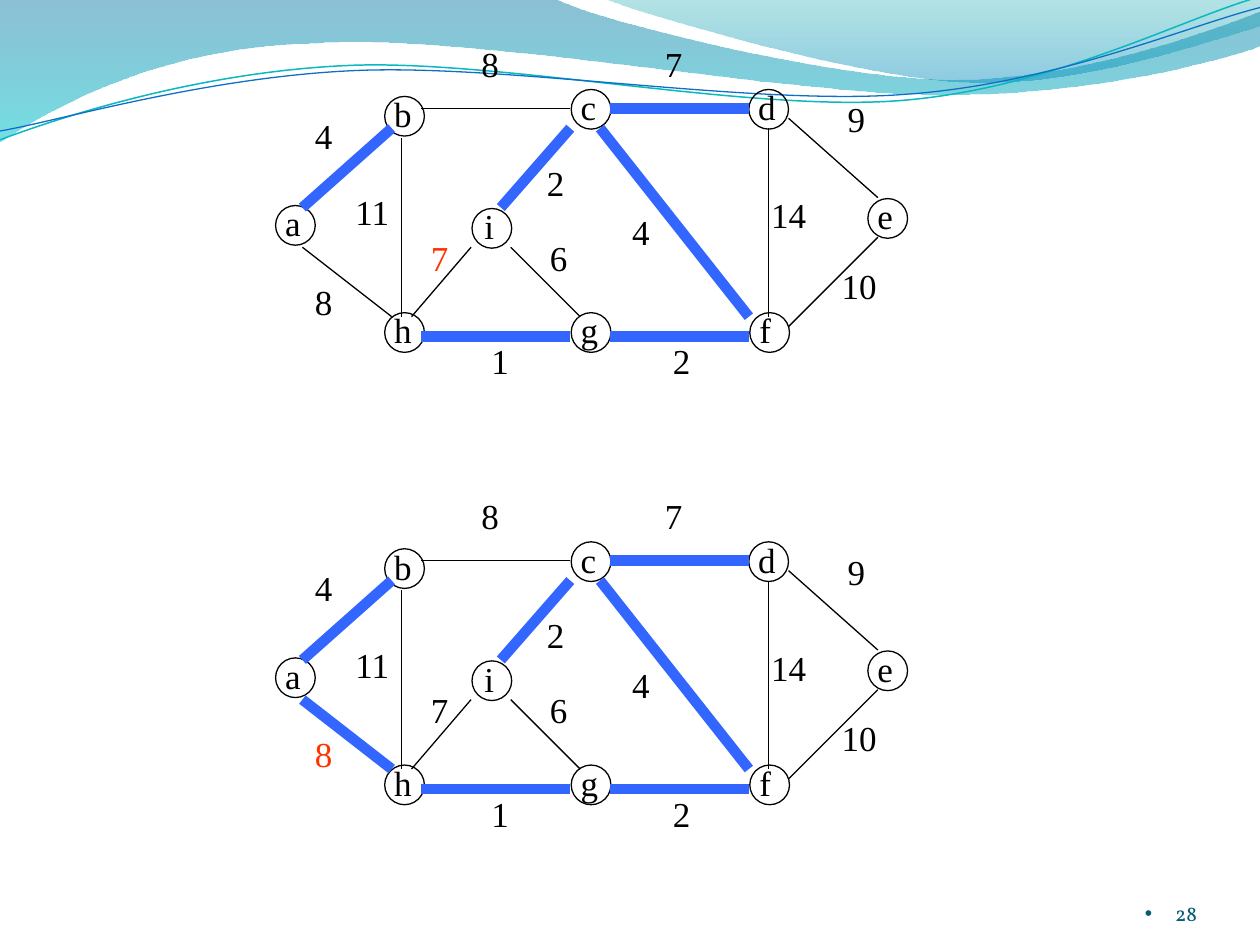
from dataclasses import dataclass
from lxml.etree import SubElement as Sub
from pptx import Presentation
from pptx.dml.color import RGBColor as RGB
from pptx.enum.shapes import MSO_CONNECTOR as CONN, MSO_SHAPE as SHAPE
from pptx.enum.text import MSO_ANCHOR as ANCHOR, MSO_AUTO_SIZE as FIT, PP_ALIGN as ALIGN
from pptx.oxml.ns import qn
from pptx.util import Inches, Pt


@dataclass
class Theme:
    ink: str = "000000"
    tree: str = "3366FF"
    new: str = "FF3300"
    footer: str = "045D75"
    font: str = "Times New Roman"
    footer_font: str = "Vollkorn"
    size: int = 20
    footer_size: int = 12
    thin: float = 0.75
    thick: float = 6


T = Theme()
prs = Presentation()
prs.slide_width, prs.slide_height = Inches(10), Inches(7.5)
s = prs.slides.add_slide(prs.slide_layouts[6])
U = prs.slide_width / 127  # one grid column or row
X0, Y0 = Inches(2.4), Inches(0.86)


def add_text(shapes, text, x, y, w, h, color, font, size):
    tf = shapes.add_textbox(int(x), int(y), Inches(w), Inches(h)).text_frame
    p = tf.paragraphs[0]
    r = p.add_run()
    r.text = text
    r.font.name, r.font.size = font, Pt(size)
    r.font.color.rgb = RGB.from_string(color)
    return tf, p


def add_curve(start, segments, close):
    """Freeform of straight (2 numbers) and cubic (6 numbers) segments, in inches."""
    fb = s.shapes.build_freeform(Inches(start[0]), Inches(start[1]))
    fb.add_line_segments([(Inches(x), Inches(y)) for seg in segments
                          for x, y in zip(seg[0::2], seg[1::2])], close=close)
    sp = fb.convert_to_shape()
    lines = iter(list(sp._element.spPr.iter(qn("a:lnTo"))))
    for seg in segments:
        first = next(lines)
        if len(seg) == 6:
            first.tag = qn("a:cubicBezTo")
            for _ in range(2):
                extra = next(lines)
                first.append(extra[0])
                extra.getparent().remove(extra)
    sp.shadow.inherit = False
    return sp


# Wave header: start, segments, gradient (colour, opacity %) or line (colour, width)
waves = [
    ((0, 0), [(4.4, -0.01), (4.76, 0.17, 6.64, 0.63, 7.58, 0.63),
              (8.53, 0.63, 9.58, 0.26, 10, 0.09), (10.01, 0.36),
              (9.83, 0.44, 8.7, 0.76, 7.46, 0.75), (6.22, 0.75, 3.82, 0.28, 2.57, 0.34),
              (1.29, 0.36, 0.46, 0.83, -0.01, 1.13), (0, 0)],
     [("0074A1", 45), ("00C6CF", 55)], None),
    ((4.79, -0.01), [(5.09, 0.11, 6.82, 0.62, 7.69, 0.65),
                     (8.56, 0.69, 9.61, 0.32, 10, 0.21), (10, 0), (4.79, -0.01)],
     [("00A1A9", 30), ("008BBF", 45)], None),
    ((0, 1.11), [(0.48, 0.93, 1.58, 0.57, 2.77, 0.52), (3.95, 0.47, 5.93, 0.89, 7.13, 0.8),
                 (8.33, 0.71, 9.38, 0.15, 9.98, -0.02)], None, ("0AB8BF", 0.85)),
    ((0, 1.04), [(0.47, 0.96, 1.64, 0.61, 2.83, 0.56), (4.03, 0.51, 5.97, 0.84, 7.17, 0.75),
                 (8.36, 0.67, 9.41, 0.21, 10, 0.06)], None, ("0F6FC6", 0.75)),
]
strokes = []
for start, segments, gradient, line in waves:
    sp = add_curve(start, segments, bool(gradient))
    if gradient:
        sp.line.fill.background()
        sp.fill.gradient()
        sp.fill.gradient_angle = 270
        for pos, (stop, (color, _)) in enumerate(zip(sp.fill.gradient_stops, gradient)):
            stop.position = pos
            stop.color.rgb = RGB.from_string(color)
        for clr, (_, opacity) in zip(sp._element.spPr.iter(qn("a:srgbClr")), gradient):
            Sub(clr, qn("a:alpha"), val=str(opacity * 1000))
    else:
        sp.fill.background()
        sp.line.color.rgb = RGB.from_string(line[0])
        sp.line.width = Pt(line[1])
        strokes.append(sp)
s.shapes.add_group_shape(strokes)

# Graph on the grid: node (column, row, text width, text shift), edge (from, to),
# weight (text, column, row)
nodes = {"a": (-2.7, 9.8, 0.32, -0.3), "b": (8.3, -1.2, 0.34, -0.3),
         "h": (8.3, 20.6, 0.34, -0.3), "c": (27.1, -1.9, 0.32, -0.3),
         "d": (45, -1.9, 0.34, -0.3), "e": (57, 9.1, 0.32, -0.3),
         "f": (45.1, 20.6, 0.29, -0.3), "g": (27.1, 20.6, 0.34, -0.3),
         "i": (17.1, 10.1, 0.28, 0)}
edges = {"ab": (0, 10, 9, 2), "ah": (0, 14, 9, 21), "bh": (10, 3, 10, 21),
         "bc": (12, 0, 27, 0), "hg": (12, 23, 27, 23), "gf": (31, 23, 45, 23),
         "cf": (30, 2, 45, 21), "cd": (31, 0, 45, 0), "df": (47, 2, 47, 21),
         "de": (49, 1, 58, 9), "fe": (49, 22, 58, 13), "ig": (21, 14, 28, 21),
         "hi": (11, 21, 17, 14), "ic": (20, 10, 27, 2)}
weights = {"ab": ("4", 0, 0), "bc": ("8", 16.8, -7.3), "cd": ("7", 35.3, -7.3),
           "de": ("9", 53.7, -1.7), "fe": ("10", 53.1, 15.1), "df": ("14", 46, 8),
           "cf": ("4", 32, 9.7), "ic": ("2", 23.4, 4.7), "gf": ("2", 36.1, 22.7),
           "ig": ("6", 23.7, 12.3), "hg": ("1", 17.8, 22.7), "hi": ("7", 11.7, 12.3),
           "bh": ("11", 4.1, 7.7), "ah": ("8", 0, 16.7)}
tree = {"ab", "hg", "gf", "cf", "cd", "ic"}

# Two steps: offset down, tree edges, edge under test
for dy, chosen, tested in [(3.59, tree | {"ah"}, "ah"), (0, tree, "hi")]:
    top = Y0 + Inches(dy)
    shapes = s.shapes.add_group_shape().shapes
    labels = []
    for name, (col, row, w, shift) in nodes.items():
        x, y = X0 + col * U, top + row * U
        labels.append(add_text(shapes, name, x + shift * U, y - U, w, 0.43,
                               T.ink, T.font, T.size))
        sp = shapes.add_shape(SHAPE.OVAL, int(x), int(y), int(4 * U), int(4 * U))
        sp.shadow.inherit = False
        sp.fill.background()
        sp.line.color.rgb = RGB.from_string(T.ink)
        sp.line.width = Pt(T.thin)
    for name, (c1, r1, c2, r2) in edges.items():
        ln = shapes.add_connector(CONN.STRAIGHT, int(X0 + c1 * U), int(top + r1 * U),
                                  int(X0 + c2 * U), int(top + r2 * U))
        Sub(ln._element.spPr, qn("a:effectLst"))
        ln.line.color.rgb = RGB.from_string(T.tree if name in chosen else T.ink)
        ln.line.width = Pt(T.thick if name in chosen else T.thin)
    for name, (text, col, row) in weights.items():
        labels.append(add_text(shapes, text, X0 + col * U, top + row * U,
                               0.2 + 0.14 * len(text), 0.44,
                               T.new if name == tested else T.ink, T.font, T.size))
    for tf, p in labels:
        tf.word_wrap, tf.auto_size = False, FIT.SHAPE_TO_FIT_TEXT
        p.space_before = Pt(0.2 * T.size)

# Slide number with its bullet
tf, p = add_text(s.shapes, "28", Inches(8.67), Inches(6.95), 0.83, 0.4,
                 T.footer, T.footer_font, T.footer_size)
tf.word_wrap, tf.vertical_anchor = True, ANCHOR.BOTTOM
tf.margin_left = tf.margin_right = tf.margin_top = tf.margin_bottom = 0
p.alignment = ALIGN.RIGHT
pPr = p._p.get_or_add_pPr()
pPr.set("marL", str(Inches(0.24)))
pPr.set("indent", str(-Inches(0.24)))
Sub(pPr, qn("a:buFont"), typeface="Arial")
Sub(pPr, qn("a:buChar"), char="•")

prs.save("out.pptx")
